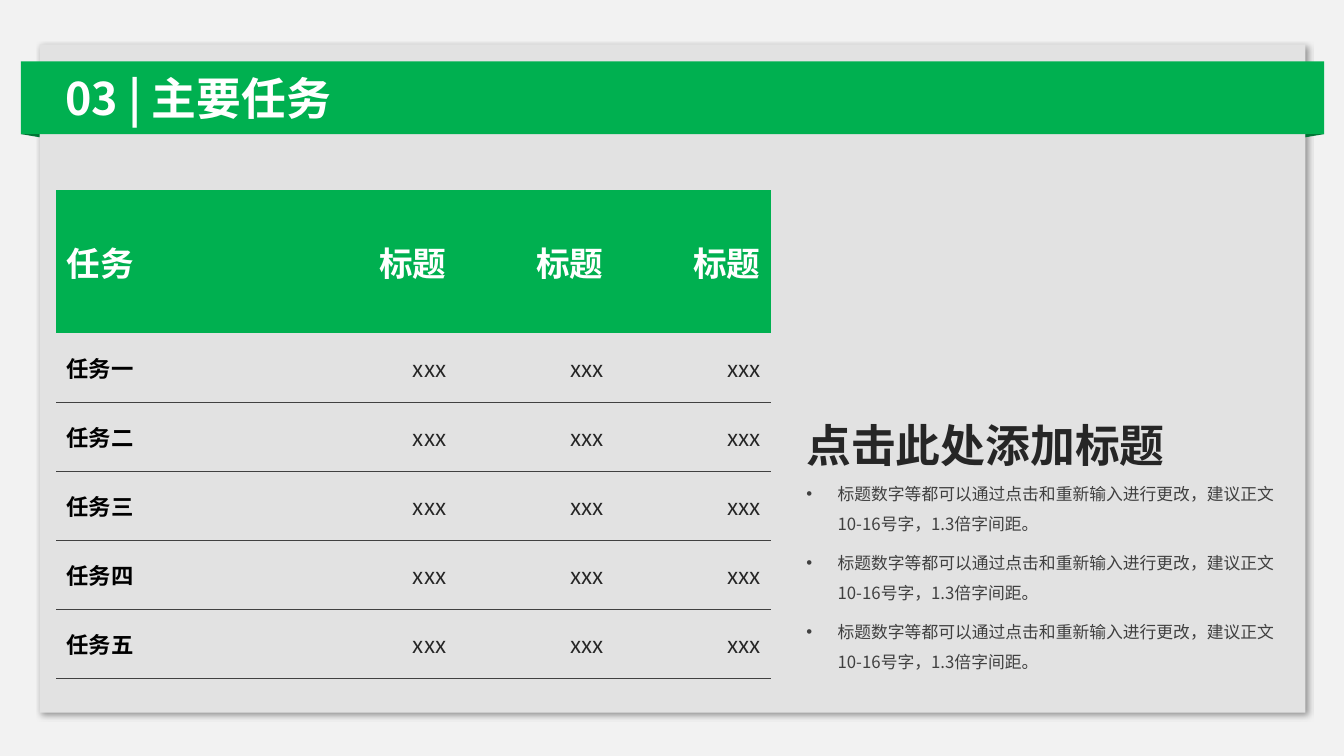
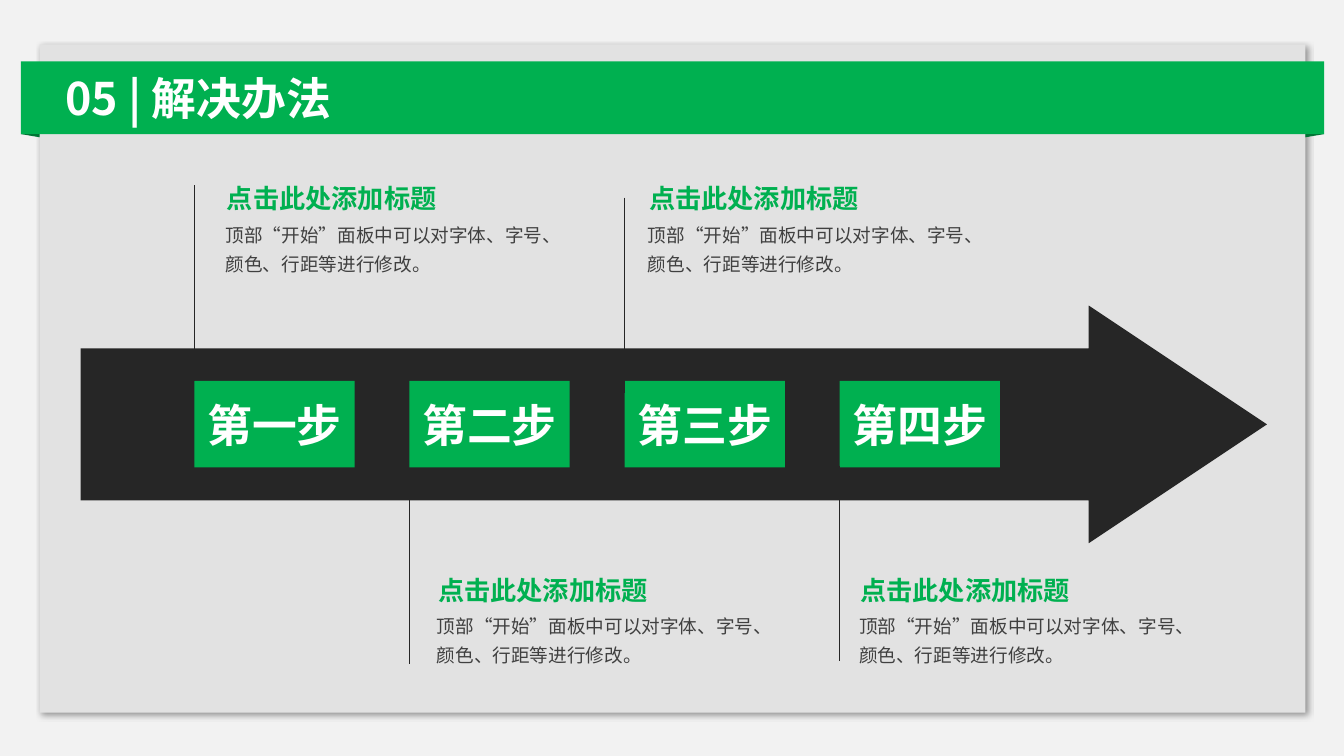
from dataclasses import dataclass

from lxml.etree import SubElement
from pptx import Presentation
from pptx.dml.color import RGBColor
from pptx.enum.shapes import MSO_CONNECTOR, MSO_SHAPE
from pptx.enum.text import MSO_ANCHOR, PP_ALIGN
from pptx.oxml import parse_xml
from pptx.oxml.ns import nsdecls, qn
from pptx.util import Cm, Pt


@dataclass(frozen=True)
class Theme:
    font: str = "Noto Sans CJK SC"
    background: str = "F2F2F2"
    panel: str = "E2E2E2"
    green: str = "00B050"
    fold: str = "007635"
    dark: str = "262626"
    grey: str = "404040"
    white: str = "FFFFFF"
    black: str = "000000"
    title_size: float = 32
    header_size: float = 24
    caption_size: float = 18.7
    cell_size: float = 16
    body_size: float = 13.3
    bullet_size: float = 12


theme = Theme()


def paint(shape, color):
    """Give the shape a plain fill with no outline and no shadow."""
    shape.shadow.inherit = False
    shape.fill.solid()
    shape.fill.fore_color.rgb = RGBColor.from_string(color)
    shape.line.fill.background()


def write(text_frame, text, size, color, bold=False, align=PP_ALIGN.LEFT, spacing=None):
    """Set the text, one paragraph a line, and format every run."""
    text_frame.word_wrap = True
    text_frame.text = text
    for paragraph in text_frame.paragraphs:
        paragraph.alignment = align
        if spacing:
            paragraph.line_spacing = spacing
        for run in paragraph.runs:
            run.font.size = Pt(size)
            run.font.bold = bold
            run.font.color.rgb = RGBColor.from_string(color)
            run.font.name = theme.font
            SubElement(run.font._element, qn("a:ea"), typeface=theme.font)


presentation = Presentation()
presentation.slide_width = Cm(33.87)
presentation.slide_height = Cm(19.05)

# Shared panel, ribbon and title
slides = []
for title in ("03 | 主要任务", "05 | 解决办法"):
    slide = presentation.slides.add_slide(presentation.slide_layouts[6])
    slides.append(slide)
    slide.background.fill.solid()
    slide.background.fill.fore_color.rgb = RGBColor.from_string(theme.background)

    panel = slide.shapes.add_shape(MSO_SHAPE.RECTANGLE, Cm(1), Cm(1.12), Cm(31.9), Cm(16.84))
    paint(panel, theme.panel)
    effects = panel._element.spPr.find(qn("a:effectLst"))
    effects.append(parse_xml(
        f'<a:outerShdw {nsdecls("a")} blurRad="{Pt(4)}" dist="{Pt(3)}" dir="2700000" '
        f'algn="tl" rotWithShape="0"><a:srgbClr val="{theme.black}">'
        '<a:alpha val="40000"/></a:srgbClr></a:outerShdw>'))

    ribbon = slide.shapes.add_shape(MSO_SHAPE.RECTANGLE, Cm(0.53), Cm(1.55), Cm(32.84), Cm(1.83))
    paint(ribbon, theme.green)
    for outer, inner in ((0.53, 1), (33.37, 32.9)):
        outline = slide.shapes.build_freeform(Cm(outer), Cm(3.38))
        outline.add_line_segments([(Cm(inner), Cm(3.38)), (Cm(inner), Cm(3.46))])
        paint(outline.convert_to_shape(), theme.fold)

    title_box = slide.shapes.add_textbox(Cm(1.4), Cm(1.65), Cm(20), Cm(1.63))
    write(title_box.text_frame, title, theme.title_size, theme.white, bold=True)

task_slide, step_slide = slides

# Task table
rows = [("任务", "标题", "标题", "标题")]
rows += [(f"任务{number}", "xxx", "xxx", "xxx") for number in "一二三四五"]
table_frame = task_slide.shapes.add_table(len(rows), 4, Cm(1.42), Cm(4.8), Cm(18), Cm(12.3))
table = table_frame.table
table.first_row = False
table.horz_banding = False
no_style_no_grid = "{2D5ABB26-0587-4C30-8999-92F81FD0307C}"
next(table_frame._element.iter(qn("a:tableStyleId"))).text = no_style_no_grid
for index, column in enumerate(table.columns):
    column.width = Cm(3.96 if index else 6.12)
for row_index, values in enumerate(rows):
    is_header = row_index == 0
    table.rows[row_index].height = Cm(3.6 if is_header else 1.74)
    for column_index, value in enumerate(values):
        cell = table.cell(row_index, column_index)
        cell.vertical_anchor = MSO_ANCHOR.MIDDLE
        is_label = column_index == 0
        align = PP_ALIGN.LEFT if is_label else PP_ALIGN.RIGHT
        if is_header:
            cell.fill.solid()
            cell.fill.fore_color.rgb = RGBColor.from_string(theme.green)
            write(cell.text_frame, value, theme.header_size, theme.white, True, align)
        else:
            cell.fill.background()
            cell._tc.get_or_add_tcPr().insert(0, parse_xml(
                f'<a:lnB {nsdecls("a")} w="{Pt(1)}"><a:solidFill>'
                f'<a:srgbClr val="{theme.grey}"/></a:solidFill></a:lnB>'))
            color = theme.black if is_label else theme.dark
            write(cell.text_frame, value, theme.cell_size, color, is_label, align)

# Notes beside the table
heading_box = task_slide.shapes.add_textbox(Cm(20.07), Cm(10), Cm(12.45), Cm(1.85))
write(heading_box.text_frame, "点击此处添加标题", theme.title_size, theme.dark, bold=True, spacing=1.3)

bullet_box = task_slide.shapes.add_textbox(Cm(20.07), Cm(11.81), Cm(12.45), Cm(5.31))
bullet = "标题数字等都可以通过点击和重新输入进行更改，建议正文10-16号字，1.3倍字间距。"
write(bullet_box.text_frame, "\n".join([bullet] * 3), theme.bullet_size, theme.grey, spacing=1.5)
for index, paragraph in enumerate(bullet_box.text_frame.paragraphs):
    properties = paragraph._p.get_or_add_pPr()
    properties.set("marL", str(Cm(0.79)))
    properties.set("indent", str(-Cm(0.79)))
    SubElement(properties, qn("a:buFont"), typeface="Arial")
    SubElement(properties, qn("a:buChar"), char="•")
    if index:
        paragraph.space_before = Pt(6)

# Step arrow
arrow = step_slide.shapes.add_shape(MSO_SHAPE.RIGHT_ARROW, Cm(2.03), Cm(7.7), Cm(29.9), Cm(5.99))
arrow.adjustments[0] = 0.64
arrow.adjustments[1] = 0.75
paint(arrow, theme.dark)

# Steps, with captions alternating above and below the arrow
steps = (("第一步", 4.67, 4.24), ("第二步", 11.79, 14.1),
         ("第三步", 4.98, 4.24), ("第四步", 11.73, 14.1))
for index, (step, line_top, caption_top) in enumerate(steps):
    step_left = 4.9 + index * 5.42
    step_box = step_slide.shapes.add_shape(
        MSO_SHAPE.RECTANGLE, Cm(step_left), Cm(9.6), Cm(4.04), Cm(2.18))
    paint(step_box, theme.green)
    write(step_box.text_frame, step, theme.title_size, theme.white, True, PP_ALIGN.CENTER)

    leader = step_slide.shapes.add_connector(
        MSO_CONNECTOR.STRAIGHT, Cm(step_left), Cm(line_top), Cm(step_left), Cm(line_top + 4.93))
    leader.line.color.rgb = RGBColor.from_string(theme.dark)
    leader.line.width = Pt(0.5)
    SubElement(leader._element.spPr, qn("a:effectLst"))

    caption_left = 5.44 + index * 5.32
    body_box = step_slide.shapes.add_textbox(
        Cm(caption_left), Cm(caption_top + 1.11), Cm(8.74), Cm(1.68))
    write(body_box.text_frame, "顶部“开始”面板中可以对字体、字号、颜色、行距等进行修改。",
          theme.body_size, theme.grey, spacing=1.3)
    caption_box = step_slide.shapes.add_textbox(
        Cm(caption_left + 0.03), Cm(caption_top), Cm(8.74), Cm(1.19))
    write(caption_box.text_frame, "点击此处添加标题",
          theme.caption_size, theme.green, bold=True, spacing=1.3)

presentation.save("out.pptx")
